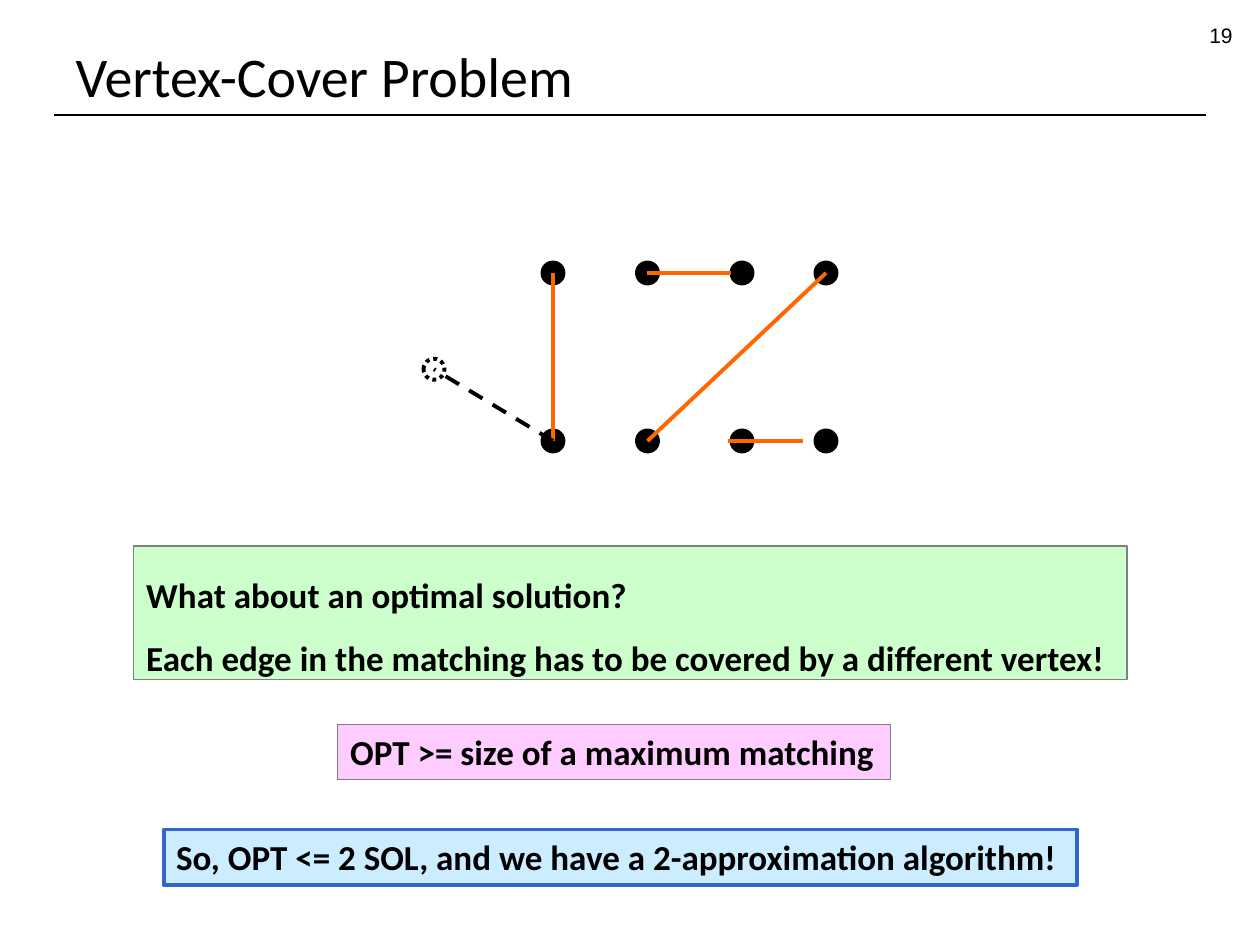
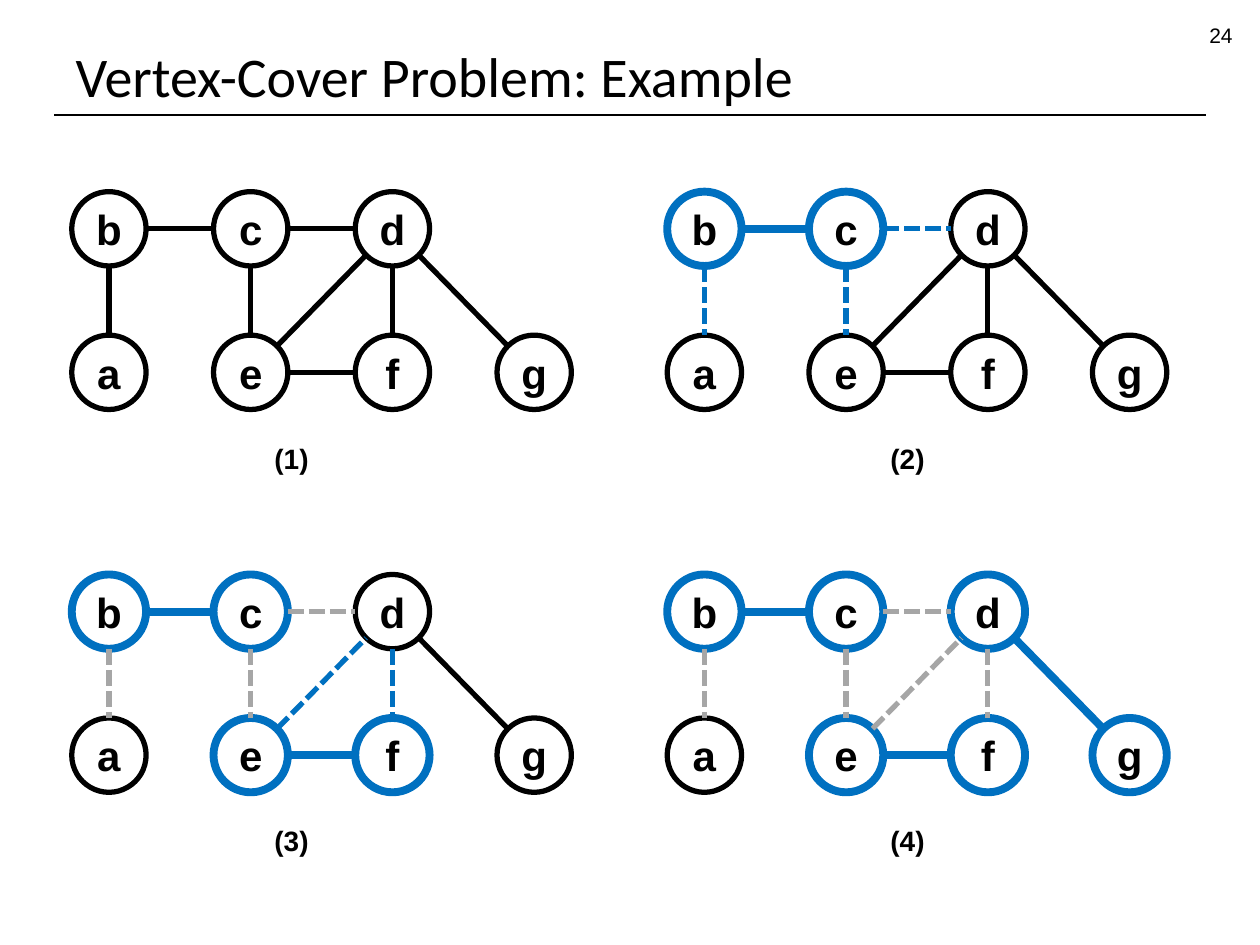
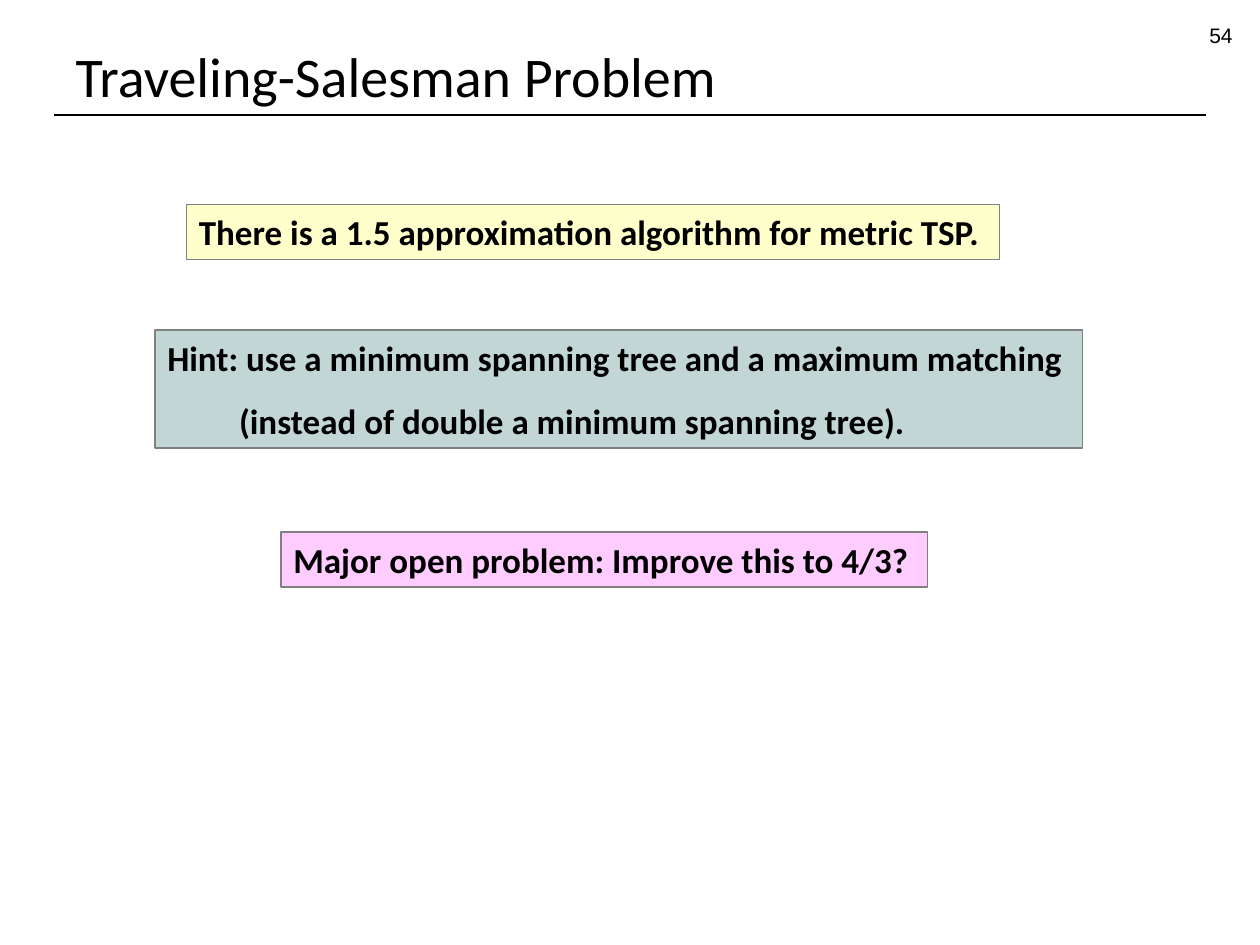
from pptx import Presentation
from pptx.util import Pt
from pptx.dml.color import RGBColor
from pptx.enum.dml import MSO_LINE as Dash
from pptx.enum.shapes import MSO_CONNECTOR as Link, MSO_SHAPE as Form
from pptx.enum.text import MSO_ANCHOR as Anchor, MSO_AUTO_SIZE as Fit, PP_ALIGN as Align
from pptx.oxml.xmlchemy import OxmlElement as Node

hue = RGBColor.from_string
BLACK, WHITE, GREY, EDGE = "000000", "FFFFFF", "A6A6A6", "808080"
BLUE, ORANGE = "0070C0", "FF6600"


def pen(item, color, width, dash=None):
    item.line.color.rgb = hue(color)
    item.line.width = Pt(width)
    if dash:
        item.line.dash_style = dash
    item._element.spPr.append(Node("a:effectLst"))


def write(frame, text, size, font, bold=False, align=Align.LEFT, anchor=Anchor.TOP, fit=Fit.NONE, wrap=False):
    frame.text = text
    frame.auto_size = fit
    frame.word_wrap = wrap
    frame.vertical_anchor = anchor
    for para in frame.paragraphs:
        para.alignment = align
        for run in para.runs:
            run.font.size = Pt(size)
            run.font.name = font
            run.font.bold = bold
            run.font.color.rgb = hue(BLACK)


deck = Presentation()
deck.slide_width, deck.slide_height = Pt(720), Pt(540)

slides = []
for title, number in [
    ("Vertex-Cover Problem", "19"),
    ("Vertex-Cover Problem: Example", "24"),
    ("Traveling-Salesman Problem", "54"),
]:
    slide = deck.slides.add_slide(deck.slide_layouts[5])
    rule = slide.shapes.add_connector(Link.STRAIGHT, Pt(31), Pt(65.75), Pt(689), Pt(65.75))
    pen(rule, BLACK, 0.75)
    head = slide.shapes.title
    head.left, head.top, head.width, head.height = Pt(36), Pt(9.5), Pt(648), Pt(56)
    write(head.text_frame, title, 32, "Calibri", anchor=Anchor.BOTTOM, wrap=True)
    page = slide.shapes.add_textbox(Pt(543.5), Pt(9.5), Pt(168), Pt(20))
    write(page.text_frame, number, 12, "Arial", align=Align.RIGHT, wrap=True)
    slides.append(slide)
match, steps, tour = slides

notes = [
    (match, 76.5, 312, 567.5, 76.5, "CCFFCC", EDGE, 0.75,
     "What about an optimal solution?\nEach edge in the matching has to be covered by a different vertex!"),
    (match, 193, 414, 316, 31.5, "FFCCFF", EDGE, 0.75, "OPT >= size of a maximum matching"),
    (match, 93.5, 474, 522, 31.5, "CCECFF", "3366CC", 2.25,
     "So, OPT <= 2 SOL, and we have a 2-approximation algorithm!"),
    (tour, 106.5, 117, 464.5, 31.5, "FFFFCC", EDGE, 0.75,
     "There is a 1.5 approximation algorithm for metric TSP."),
    (tour, 88.5, 188.5, 530, 67.5, "C2D6D6", EDGE, 0.75,
     "Hint: use a minimum spanning tree and a maximum matching\n(instead of double a minimum spanning tree)."),
    (tour, 160.5, 304, 369.5, 31.5, "FFCCFF", EDGE, 0.75, "Major open problem: Improve this to 4/3?"),
]
boxes = []
for slide, x, y, w, h, fill, edge, width, text in notes:
    box = slide.shapes.add_shape(Form.RECTANGLE, Pt(x), Pt(y), Pt(w), Pt(h))
    box.fill.solid()
    box.fill.fore_color.rgb = hue(fill)
    pen(box, edge, width)
    write(box.text_frame, text, 20, "Calibri", bold=True, fit=Fit.SHAPE_TO_FIT_TEXT)
    boxes.append(box)

ask, hint = boxes[0].text_frame.paragraphs, boxes[4].text_frame.paragraphs
for para in [*ask, hint[1]]:
    para.line_spacing = 1.5
hint[1]._p.get_or_add_pPr().set("marL", str(Pt(41)))

dots = [(x, y, BLACK, None) for x in (316, 370, 424, 472) for y in (156, 252)]
dots.append((248, 211, WHITE, Dash.ROUND_DOT))
for x, y, fill, dash in dots:
    dot = match.shapes.add_shape(Form.OVAL, Pt(x - 6), Pt(y - 6), Pt(12), Pt(12))
    dot.fill.solid()
    dot.fill.fore_color.rgb = hue(fill)
    pen(dot, BLACK, 2.25, dash)
for ends, color, dash in [
    ((316, 156, 316, 252), ORANGE, None),
    ((370, 156, 418, 156), ORANGE, None),
    ((370, 252, 472, 156), ORANGE, None),
    ((416, 252, 459, 252), ORANGE, None),
    ((316, 252, 248, 211), BLACK, Dash.DASH),
]:
    link = match.shapes.add_connector(Link.STRAIGHT, *map(Pt, ends))
    pen(link, color, 2.25, dash)

GRID = {"b": (0, 0), "a": (0, 1), "c": (1, 0), "e": (1, 1), "d": (2, 0), "f": (2, 1), "g": (3, 1)}
EDGES = ["ba", "bc", "ce", "cd", "df", "ef", "ed", "dg"]
PICKS = ["bc", "ef", "dg"]
RAD = 21.25
for step in range(4):
    row, col = divmod(step, 2)
    left, top = 62.25 + 340.25 * col, 130.75 + 218.75 * row
    spots = {name: (left + 81 * i, top + 82 * j) for name, (i, j) in GRID.items()}
    picked = PICKS[:step]
    cover = "".join(picked)
    older = "".join(picked[:-1])

    for name, (x, y) in spots.items():
        ring = steps.shapes.add_shape(Form.OVAL, Pt(x - RAD), Pt(y - RAD), Pt(2 * RAD), Pt(2 * RAD))
        ring.fill.background()
        pen(ring, *((BLUE, 4.5) if name in cover else (BLACK, 3)))
        write(ring.text_frame, name, 24, "Arial", bold=True, align=Align.CENTER, anchor=Anchor.MIDDLE)

    for pair in EDGES:
        (ax, ay), (bx, by) = spots[pair[0]], spots[pair[1]]
        dx, dy = (bx > ax) - (bx < ax), (by > ay) - (by < ay)
        gap = RAD * (0.71 if dx and dy else 1)
        ends = ax + gap * dx, ay + gap * dy, bx - gap * dx, by - gap * dy
        link = steps.shapes.add_connector(Link.STRAIGHT, *map(Pt, ends))
        if pair in picked:
            pen(link, BLUE, 4.5)
        elif set(pair) & set(older):
            pen(link, GREY, 3, Dash.SQUARE_DOT)
        elif set(pair) & set(cover):
            pen(link, BLUE, 3, Dash.SQUARE_DOT)
        else:
            pen(link, BLACK, 3)

    label = steps.shapes.add_textbox(Pt(149.75 + 352 * col), Pt(249 + 218.25 * row), Pt(34.5), Pt(26.5))
    write(label.text_frame, f"({step + 1})", 16, "Arial", bold=True, fit=Fit.SHAPE_TO_FIT_TEXT)

deck.save("out.pptx")
